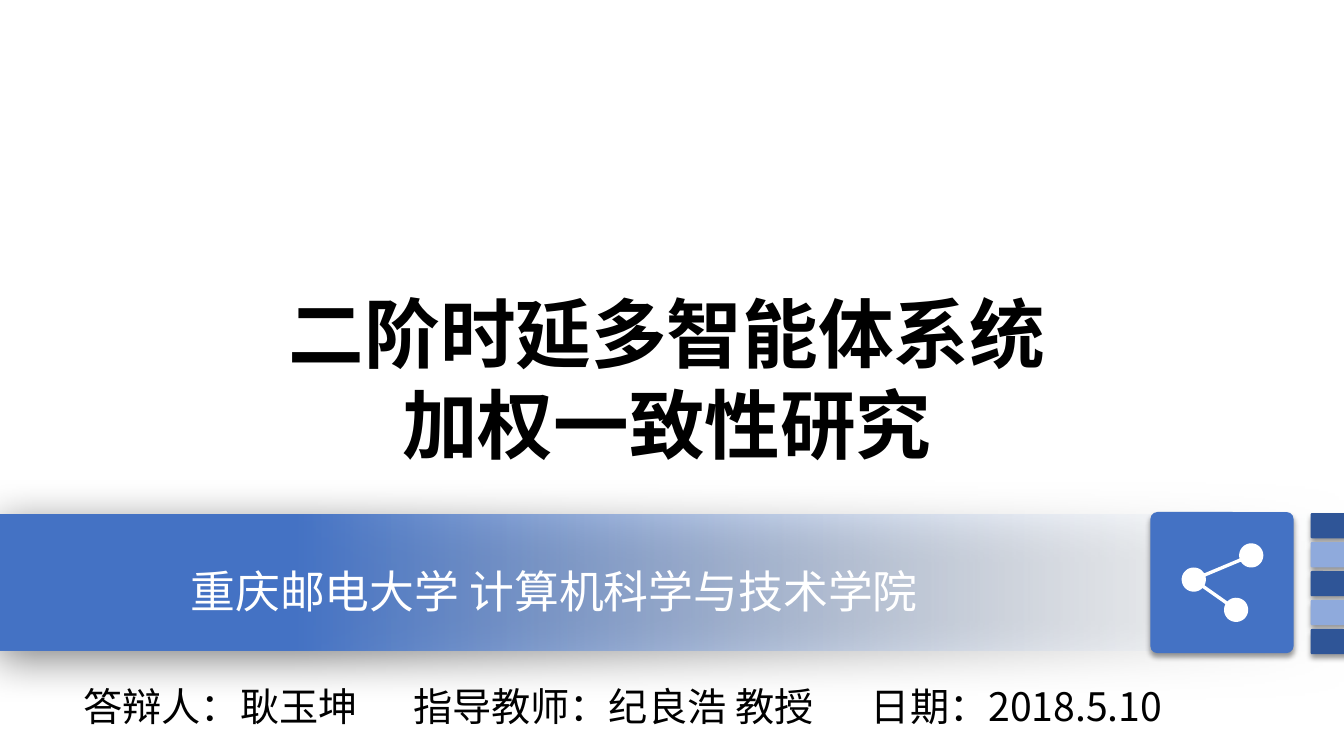
"""Build the cover slide of a thesis defence."""
import math
from dataclasses import dataclass

import lxml.etree
import pptx
import pptx.dml.color
import pptx.enum.shapes
import pptx.enum.text
import pptx.oxml.ns
import pptx.util

Inches = pptx.util.Inches
MSO_SHAPE = pptx.enum.shapes.MSO_SHAPE
PP_ALIGN = pptx.enum.text.PP_ALIGN
qn = pptx.oxml.ns.qn
BLUE, DARK, LIGHT, WHITE, BLACK = "4472C4", "2F5597", "8FAADC", "FFFFFF", "000000"
SANS = "Noto Sans CJK SC"


@dataclass
class Shadow:
    opacity: int
    blur: int
    dist: int
    angle: int


@dataclass
class Label:
    left: float
    top: float
    width: float
    height: float
    lines: list[str]
    size: int
    color: str = BLACK
    font: str = SANS
    bold: bool = False
    align: PP_ALIGN = PP_ALIGN.LEFT
    tab: float = 0


@dataclass
class Arc:
    x: float
    y: float
    start: float
    end: float


SOFT = Shadow(50, 31, 6, 97)
SMALL = Shadow(40, 4, 3, 90)
LABELS = [
    Label(0.73, 6.72, 3.2, 0.57, ["答辩人：耿玉坤"], 28),
    Label(4, 6.72, 8.17, 0.57, ["指导教师：纪良浩 教授\t日期：2018.5.10"], 28, tab=4.54),
    Label(1.79, 5.54, 8.99, 0.67, ["重庆邮电大学 计算机科学与技术学院"], 32, WHITE),
    Label(0.88, 2.8, 11.47, 2.0, ["二阶时延多智能体系统", "加权一致性研究"], 54,
          font="Arial", bold=True, align=PP_ALIGN.CENTER),
]
ICON = [
    Arc(12.41, 5.51, 165, 509),
    Arc(11.84, 5.75, -15, 28),
    Arc(12.26, 6.05, 224, 568),
    Arc(11.84, 5.75, 44, 329),
]


def rgb(color: str) -> pptx.dml.color.RGBColor:
    """Turn a hex string into a colour."""
    return pptx.dml.color.RGBColor.from_string(color)


def add_shadow(sp, shadow: Shadow) -> None:
    """Give a shape an outer shadow."""
    sp.shadow.inherit = False
    effects = sp._element.spPr.find(qn("a:effectLst"))
    outer = lxml.etree.SubElement(
        effects, qn("a:outerShdw"), blurRad=str(pptx.util.Pt(shadow.blur)),
        dist=str(pptx.util.Pt(shadow.dist)), dir=str(shadow.angle * 60000),
        algn="t", rotWithShape="0")
    color = lxml.etree.SubElement(outer, qn("a:srgbClr"), val=BLACK)
    lxml.etree.SubElement(color, qn("a:alpha"), val=str(shadow.opacity * 1000))


def add_block(s, left: float, top: float, width: float, height: float,
              color: str, shadow: Shadow = SMALL, kind=MSO_SHAPE.ROUNDED_RECTANGLE):
    """Draw a filled block with a shadow."""
    sp = s.shapes.add_shape(kind, Inches(left), Inches(top), Inches(width), Inches(height))
    if kind == MSO_SHAPE.ROUNDED_RECTANGLE:
        sp.adjustments[0] = 0.05
    sp.fill.solid()
    sp.fill.fore_color.rgb = rgb(color)
    sp.line.fill.background()
    add_shadow(sp, shadow)
    return sp


def add_banner(s) -> None:
    """Draw the wide band that fades out to the right."""
    sp = add_block(s, -0.01, 5.1, 13.33, 1.35, BLUE, SOFT, MSO_SHAPE.RECTANGLE)
    sp.fill.gradient()
    sp.fill.gradient_angle = 180
    for stop, position, color in zip(sp.fill.gradient_stops, (0, 0.78), ("F7FAFD", BLUE)):
        stop.position = position
        stop.color.rgb = rgb(color)
    clear = sp._element.spPr.find(".//" + qn("a:gs")).find(qn("a:srgbClr"))
    lxml.etree.SubElement(clear, qn("a:alpha"), val="0")


def add_icon(s, arcs: list[Arc], radius: float = 0.12, steps: int = 32) -> None:
    """Draw three linked dots as one outline."""
    points = []
    for arc in arcs:
        for i in range(steps + 1):
            angle = math.radians(arc.start + (arc.end - arc.start) * i / steps)
            points.append((Inches(arc.x + radius * math.cos(angle)),
                           Inches(arc.y + radius * math.sin(angle))))
    builder = s.shapes.build_freeform(*points[0])
    builder.add_line_segments(points[1:], close=True)
    sp = builder.convert_to_shape()
    sp.fill.solid()
    sp.fill.fore_color.rgb = rgb(WHITE)
    sp.line.fill.background()
    sp.shadow.inherit = False


def add_label(s, label: Label) -> None:
    """Draw a text box."""
    box = s.shapes.add_textbox(Inches(label.left), Inches(label.top),
                               Inches(label.width), Inches(label.height))
    tf = box.text_frame
    tf.word_wrap = True
    tf.text = "\n".join(label.lines)
    for p in tf.paragraphs:
        p.alignment = label.align
        p.font.size = pptx.util.Pt(label.size)
        p.font.name = label.font
        p.font.bold = label.bold
        p.font.color.rgb = rgb(label.color)
        if label.tab:
            tabs = lxml.etree.Element(qn("a:tabLst"))
            lxml.etree.SubElement(tabs, qn("a:tab"), pos=str(Inches(label.tab)), algn="l")
            p._p.pPr.insert(0, tabs)


def main() -> None:
    """Build and save the slide."""
    prs = pptx.Presentation()
    prs.slide_width, prs.slide_height = Inches(13.33), Inches(7.5)
    s = prs.slides.add_slide(prs.slide_layouts[6])
    add_banner(s)
    for i in range(5):
        add_block(s, 13, 5.09 + i * 1.15 / 4, 0.4, 0.25, LIGHT if i % 2 else DARK)
    add_block(s, 11.41, 5.08, 1.42, 1.4, BLUE)
    add_icon(s, ICON)
    for label in LABELS:
        add_label(s, label)
    prs.save("out.pptx")


if __name__ == "__main__":
    main()
